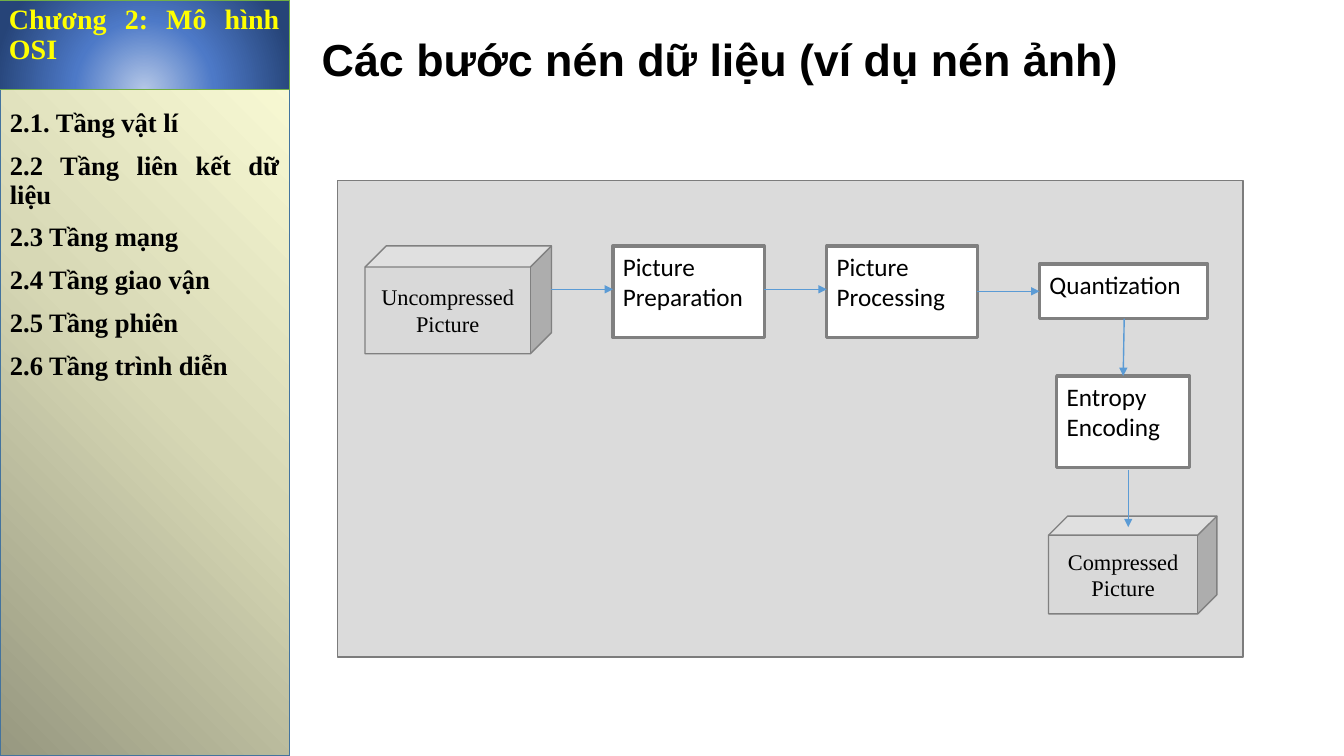
from lxml import etree
from pptx import Presentation
from pptx import util as u
from pptx.dml.color import RGBColor
from pptx.enum import shapes, text
from pptx.oxml import parse_xml
from pptx.oxml.ns import qn

Inches = u.Inches
THEME = {
    "black": "000000", "white": "FFFFFF", "yellow": "FFFF00",
    "panel": "DBDBDB", "panel_line": "7C7C7C", "cube": "D9D9D9",
    "box_line": "808080", "arrow": "5B9BD5", "side_line": "43739E", "head_line": "70AD47",
    "side_stops": [(0, "979880"), (50, "D7D8B5"), (100, "FEFFD9")],
    "head_stops": [(0, "B4C7E7"), (46, "4D79C7"), (100, "264478")],
    "title_size": 32, "head_size": 20, "menu_size": 19, "box_size": 18, "cube_size": 16,
    "title_font": "Arial", "side_font": "Times New Roman", "box_font": "Calibri",
}

presentation = Presentation()
presentation.slide_width, presentation.slide_height = Inches(13.33), Inches(7.5)
slide = presentation.slides.add_slide(presentation.slide_layouts[5])


def add_box(preset, place, fill, line, width):
    shape = slide.shapes.add_shape(preset, *map(Inches, place))
    shape.shadow.inherit = False
    shape.line.color.rgb = RGBColor.from_string(THEME[line])
    shape.line.width = u.Pt(width)
    if isinstance(fill, str):
        shape.fill.solid()
        shape.fill.fore_color.rgb = RGBColor.from_string(THEME[fill])
        return shape
    stops, direction = fill
    shape.fill.gradient()
    gradient = shape._element.spPr.find(qn("a:gradFill"))
    stop_xml = "".join(
        f'<a:gs pos="{position * 1000}"><a:srgbClr val="{color}"/></a:gs>'
        for position, color in THEME[stops])
    gradient.getparent().replace(gradient, parse_xml(
        '<a:gradFill xmlns:a="http://schemas.openxmlformats.org/drawingml/2006/main" '
        f'rotWithShape="1"><a:gsLst>{stop_xml}</a:gsLst>{direction}</a:gradFill>'))
    return shape


def write(shape, lines, kind, color, align, anchor, bold=False, **spacing):
    frame = shape.text_frame
    frame.word_wrap = True
    frame.auto_size = text.MSO_AUTO_SIZE.NONE
    frame.vertical_anchor = anchor
    frame.text = "\n".join(lines)
    font_name = THEME.get(kind + "_font", THEME["side_font"])
    font_format = {"name": font_name, "size": u.Pt(THEME[kind + "_size"]), "bold": bold}
    for paragraph in frame.paragraphs:
        for name, value in {"alignment": align, **spacing}.items():
            setattr(paragraph, name, value)
        for run in paragraph.runs:
            run.font.color.rgb = RGBColor.from_string(THEME[color])
            for name, value in font_format.items():
                setattr(run.font, name, value)


LEFT, CENTER, JUSTIFY = text.PP_ALIGN.LEFT, text.PP_ALIGN.CENTER, text.PP_ALIGN.JUSTIFY
TOP, MIDDLE = text.MSO_ANCHOR.TOP, text.MSO_ANCHOR.MIDDLE
RECTANGLE, CUBE = shapes.MSO_SHAPE.RECTANGLE, shapes.MSO_SHAPE.CUBE
side_spacing = {"line_spacing": 0.9, "space_before": u.Pt(10)}

divider = slide.shapes.add_connector(
    shapes.MSO_CONNECTOR.STRAIGHT, Inches(2.87), 0, Inches(2.87), Inches(7.5))
add_box(RECTANGLE, (0, 0, 2.87, 7.5), ("side_stops", '<a:lin ang="18900000" scaled="0"/>'),
        "side_line", 1)
heading = add_box(
    RECTANGLE, (-0.01, 0, 2.88, 0.89),
    ("head_stops", '<a:path path="circle"><a:fillToRect l="50000" t="130000" '
                   'r="50000" b="-30000"/></a:path>'),
    "head_line", 0.5)
write(heading, ["Chương 2: Mô hình OSI"], "head", "yellow", JUSTIFY, TOP, True, **side_spacing)

menu = slide.shapes.add_textbox(Inches(0), Inches(1.04), Inches(2.87), Inches(6.37))
write(menu, ["2.1. Tầng vật lí", "2.2 Tầng liên kết dữ liệu", "2.3 Tầng mạng",
             "2.4 Tầng giao vận", "2.5 Tầng phiên", "2.6 Tầng trình diễn"],
      "menu", "black", JUSTIFY, TOP, True, **side_spacing)

title = slide.shapes.title
title.left, title.top, title.width, title.height = map(Inches, (3.09, 0.26, 9.45, 0.64))
write(title, ["Các bước nén dữ liệu (ví dụ nén ảnh)"], "title", "black", LEFT, TOP, True)

add_box(RECTANGLE, (3.35, 1.79, 8.98, 4.73), "panel", "panel_line", 1)

for label, place in [
    ("Uncompressed Picture", (3.62, 2.44, 1.85, 1.07)),
    ("Compressed Picture", (10.4, 5.12, 1.67, 0.97)),
]:
    cube = add_box(CUBE, place, "cube", "box_line", 1)
    cube.adjustments[0] = 0.196
    write(cube, [label], "cube", "black", CENTER, MIDDLE)

for label, place in [
    ("Picture Preparation", (6.08, 2.44, 1.5, 0.91)),
    ("Picture Processing", (8.2, 2.44, 1.5, 0.91)),
    ("Quantization", (10.31, 2.62, 1.67, 0.54)),
    ("Entropy Encoding", (10.48, 3.73, 1.32, 0.91)),
]:
    step = add_box(RECTANGLE, place, "white", "box_line", 2.25)
    write(step, [label], "box", "black", LEFT, TOP)

arrows = [
    slide.shapes.add_connector(shapes.MSO_CONNECTOR.STRAIGHT, *map(Inches, ends))
    for ends in [
        (5.47, 2.87, 6.08, 2.87),
        (7.58, 2.87, 8.2, 2.87),
        (9.69, 2.89, 10.31, 2.89),
        (11.15, 3.16, 11.14, 3.73),
        (11.19, 4.66, 11.19, 5.23),
    ]
]
for connector in [divider, *arrows]:
    connector.line.color.rgb = RGBColor.from_string(THEME["arrow"])
    connector.line.width = u.Pt(1.5 if connector is divider else 1)
    etree.SubElement(connector._element.spPr, qn("a:effectLst"))
for arrow in arrows:
    etree.SubElement(arrow.line._get_or_add_ln(), qn("a:tailEnd"), type="triangle")

presentation.save("out.pptx")
